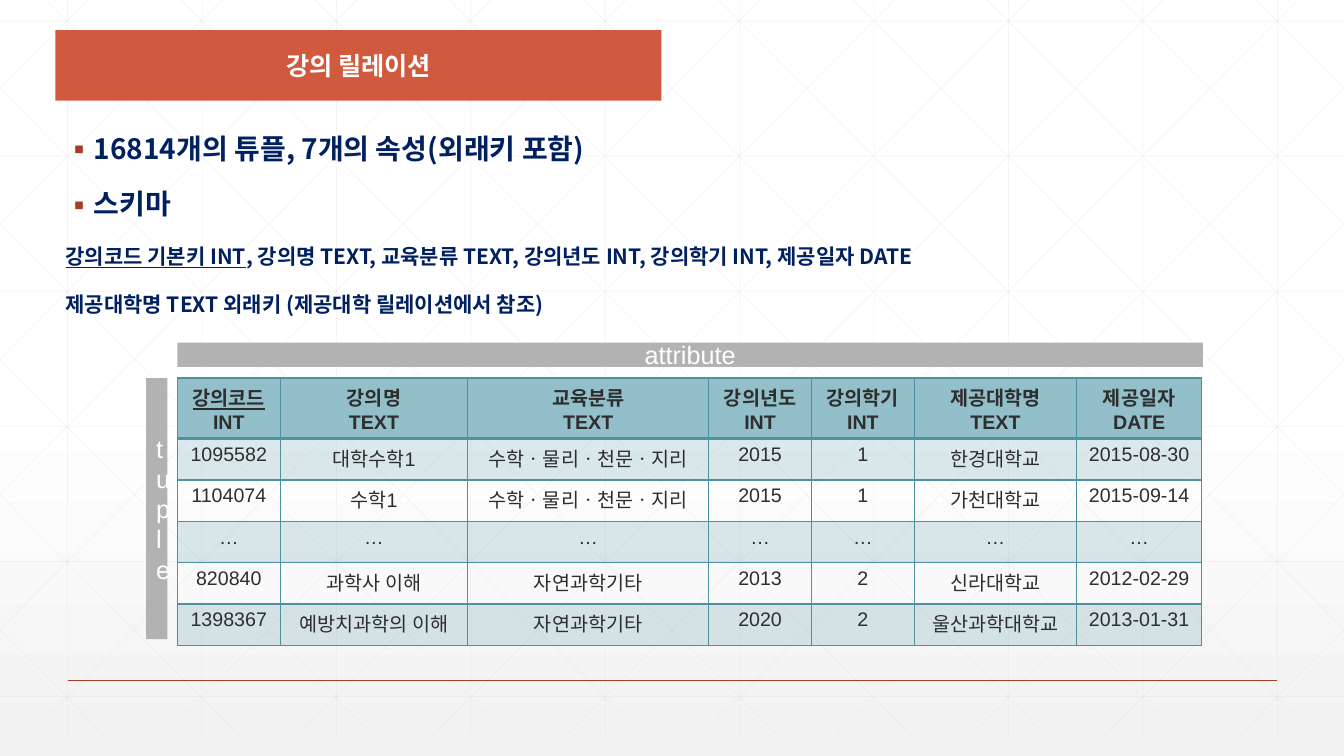
import pptx
import pptx.util
import pptx.dml.color
import pptx.enum.shapes
import pptx.enum.text
import pptx.oxml.ns
from lxml import etree

Inches = pptx.util.Inches
Pt = pptx.util.Pt
RGBColor = pptx.dml.color.RGBColor
qn = pptx.oxml.ns.qn
CENTER = pptx.enum.text.PP_ALIGN.CENTER
MIDDLE = pptx.enum.text.MSO_ANCHOR.MIDDLE
RECT = pptx.enum.shapes.MSO_SHAPE.RECTANGLE

WHITE = RGBColor(0xFF, 0xFF, 0xFF)
PALE = RGBColor(0xF2, 0xF2, 0xF2)
MESH = RGBColor(0xD9, 0xD9, 0xD9)
RUST = RGBColor(0xA4, 0x3F, 0x27)
CORAL = RGBColor(0xD1, 0x5A, 0x3E)
NAVY = RGBColor(0x00, 0x20, 0x60)
GRAY = RGBColor(0xB2, 0xB2, 0xB2)
INK = RGBColor(0x2D, 0x2E, 0x2D)
TEAL = RGBColor(0x4F, 0x91, 0xA1)
HEAD = RGBColor(0x92, 0xBF, 0xCA)
NOTO = "Noto Sans CJK KR"


def style(run, size, color, face, bold=False):
    font = run.font
    font.size, font.bold, font.name = Pt(size), bold, face
    font.color.rgb = color
    east = etree.SubElement(run._r.get_or_add_rPr(), qn("a:ea"))
    east.set("typeface", NOTO)


def fade(element, percent):
    """Set the opacity of every plain colour inside the element."""
    for color in list(element.iter(qn("a:srgbClr"))):
        etree.SubElement(color, qn("a:alpha")).set("val", str(percent * 1000))


deck = pptx.Presentation()
deck.slide_width, deck.slide_height = Inches(13.33), Inches(7.5)
slide = deck.slides.add_slide(deck.slide_layouts[1])
shapes = slide.shapes

back = slide.background.fill
back.gradient()
back.gradient_angle = 270
for stop, color, place in zip(back.gradient_stops, (WHITE, PALE), (0.53, 1)):
    stop.color.rgb = color
    stop.position = place

# Background mesh: uprights, levels, then diagonals cut at the slide's sides
wide, top, low, step = 13.33, -0.21, 7.29, 4 / 3
slope = 7.45 / 7.5
lines = [(0.67 + step * i, top, 0.67 + step * i, low) for i in range(10)]
lines += [(0, 0.21 + 1.34 * i, wide, 0.21 + 1.34 * i) for i in range(6)]
for i in range(-5, 10):
    start = 0.25 + step * i
    left, right = max(start, 0), min(start + 7.45, wide)
    y1, y2 = top + (left - start) / slope, top + (right - start) / slope
    lines += [(left, y1, right, y2), (wide - left, y1, wide - right, y2)]

rule = (0.67, 6.75, 12.67, 6.75)
for ends in lines + [rule]:
    line = shapes.add_connector(pptx.enum.shapes.MSO_CONNECTOR.STRAIGHT,
                                *[Inches(v) for v in ends])
    line.line.color.rgb = RUST if ends is rule else MESH
    line.line.width = Pt(1 if ends is rule else 0.5)
    if ends is not rule:
        fade(line.element.spPr, 25)
    etree.SubElement(line.element.spPr, qn("a:effectLst"))

# Banner and bars
for text, box, color in (
    ("", (0.55, 0.3, 6.01, 0.7), CORAL),
    ("attribute", (1.76, 3.4, 10.17, 0.24), GRAY),
    ("tuple", (1.45, 3.75, 0.21, 2.59), GRAY),
):
    bar = shapes.add_shape(RECT, *[Inches(v) for v in box])
    bar.shadow.inherit = False
    bar.fill.solid()
    bar.fill.fore_color.rgb = color
    bar.line.fill.background()
    if text:
        frame = bar.text_frame
        frame.word_wrap = True
        frame.vertical_anchor = MIDDLE
        frame.text = text
        frame.paragraphs[0].alignment = CENTER
        style(frame.paragraphs[0].runs[0], 18, WHITE, "Arial")

# Title and body go in front of the mesh and banner
title, body = shapes.title, slide.placeholders[1]
for holder, box in ((title, (0.55, 0.45, 6.01, 0.4)),
                    (body, (0.55, 1.29, 12.4, 5.32))):
    holder.left, holder.top, holder.width, holder.height = map(Inches, box)
    shapes.element.append(holder.element)

title.text_frame.text = "강의 릴레이션"
title.text_frame.vertical_anchor = MIDDLE
title.text_frame.auto_size = pptx.enum.text.MSO_AUTO_SIZE.NONE
title.text_frame.paragraphs[0].alignment = CENTER
style(title.text_frame.paragraphs[0].runs[0], 18, WHITE, NOTO, True)

frame = body.text_frame
frame.auto_size = pptx.enum.text.MSO_AUTO_SIZE.TEXT_TO_FIT_SHAPE
points = (
    ["16814개의 튜플, 7개의 속성(외래키 포함)"],
    ["스키마"],
    ["강의코드 기본키 INT",
     ", 강의명 TEXT, 교육분류 TEXT, 강의년도 INT, 강의학기 INT, 제공일자 DATE"],
    ["제공대학명 TEXT 외래키 (제공대학 릴레이션에서 참조)"],
)
for n, parts in enumerate(points):
    para = frame.paragraphs[0] if n == 0 else frame.add_paragraph()
    bullet = n < 2
    props = para._p.get_or_add_pPr()
    props.set("marL", str(Inches(0.25) if bullet else 0))
    props.set("indent", str(Inches(-0.25) if bullet else 0))
    if bullet:
        tint = etree.SubElement(props, qn("a:buClr"))
        etree.SubElement(tint, qn("a:srgbClr")).set("val", str(RUST))
        etree.SubElement(props, qn("a:buFont")).set("typeface", NOTO)
        etree.SubElement(props, qn("a:buChar")).set("char", "▪")
    else:
        etree.SubElement(props, qn("a:buNone"))
    para.line_spacing = 0.9
    para.space_before = Pt(18 if n else 0)
    for part in parts:
        run = para.add_run()
        run.text = part
        style(run, 20 if bullet else 15, NAVY, NOTO, True)
        run.font.underline = len(parts) > 1 and part is parts[0]

# Lecture table
rows = (
    ("강의코드\nINT", "강의명\nTEXT", "교육분류\nTEXT", "강의년도\nINT",
     "강의학기\nINT", "제공대학명\nTEXT", "제공일자\nDATE"),
    ("1095582", "대학수학1", "수학ㆍ물리ㆍ천문ㆍ지리", "2015", "1",
     "한경대학교", "2015-08-30"),
    ("1104074", "수학1", "수학ㆍ물리ㆍ천문ㆍ지리", "2015", "1",
     "가천대학교", "2015-09-14"),
    ("…",) * 7,
    ("820840", "과학사 이해", "자연과학기타", "2013", "2",
     "신라대학교", "2012-02-29"),
    ("1398367", "예방치과학의 이해", "자연과학기타", "2020", "2",
     "울산과학대학교", "2013-01-31"),
)
widths = (1.02, 1.86, 2.39, 1.02, 1.02, 1.61, 1.24)
table = shapes.add_table(len(rows), len(widths), Inches(1.76), Inches(3.75),
                         Inches(10.17), Inches(2.46)).table
table.first_row = table.horz_banding = False
for column, width in zip(table.columns, widths):
    column.width = Inches(width)
for r, row in enumerate(rows):
    table.rows[r].height = Inches(0.41)
    for c, text in enumerate(row):
        cell = table.cell(r, c)
        cell.text_frame.text = text
        for para in cell.text_frame.paragraphs:
            para.alignment = CENTER
            style(para.runs[0], 14, INK, "Arial", r == 0)
        props = cell._tc.get_or_add_tcPr()
        if r == 0 or r % 2:
            cell.fill.solid()
            cell.fill.fore_color.rgb = TEAL if r else HEAD
            if r:
                fade(props, 20)
        else:
            cell.fill.background()
        for k, side in enumerate("LRTB"):
            thick = (r, side) in ((0, "B"), (1, "T"))
            edge = etree.Element(qn("a:ln" + side), w=str(Pt(2 if thick else 1)))
            paint = etree.SubElement(edge, qn("a:solidFill"))
            etree.SubElement(paint, qn("a:srgbClr")).set("val", str(TEAL))
            props.insert(k, edge)
table.cell(0, 0).text_frame.paragraphs[0].runs[0].font.underline = True

deck.save("out.pptx")
